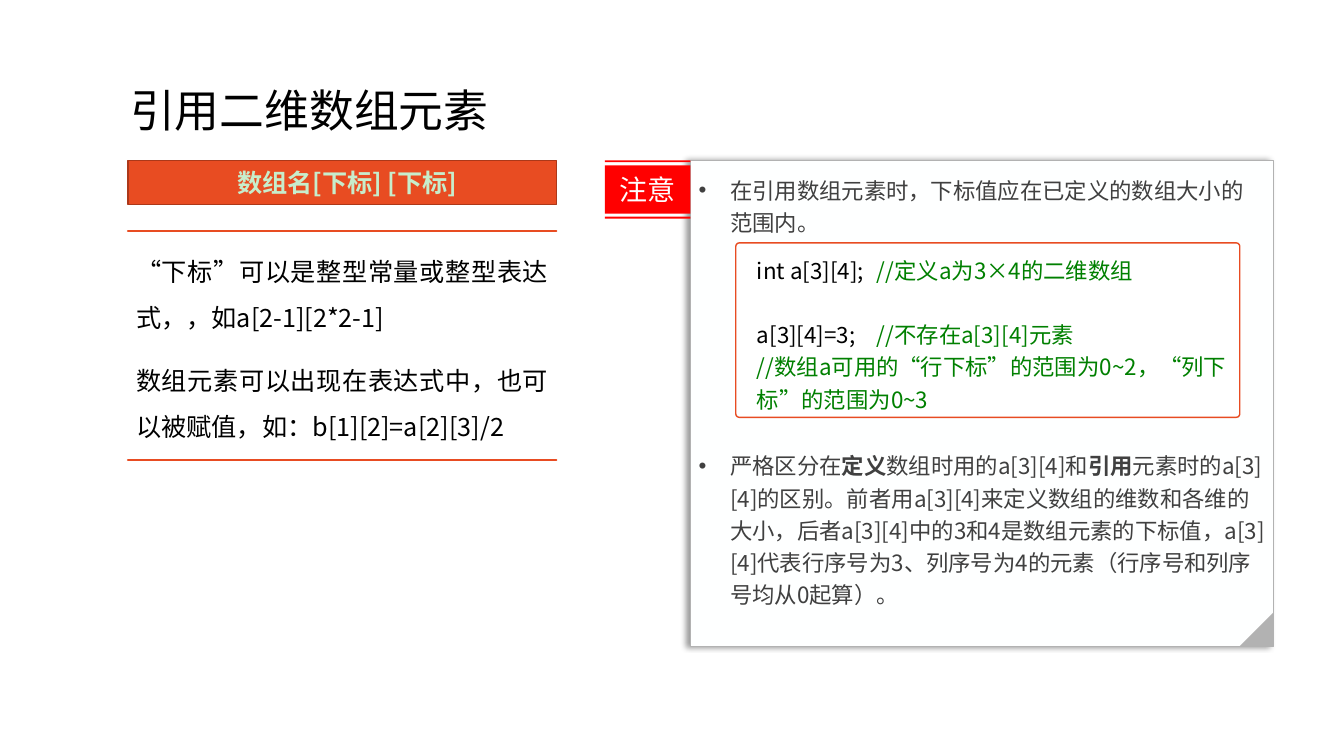
"""Build the slide on referencing elements of a two-dimensional array."""
from dataclasses import dataclass

from lxml import etree
from pptx import Presentation
from pptx.dml.color import RGBColor
from pptx.enum.lang import MSO_LANGUAGE_ID
from pptx.enum.shapes import MSO_SHAPE
from pptx.enum.text import MSO_ANCHOR, MSO_AUTO_SIZE, PP_ALIGN
from pptx.oxml.ns import qn
from pptx.util import Pt

RECT, ROUND, CORNER = MSO_SHAPE.RECTANGLE, MSO_SHAPE.ROUNDED_RECTANGLE, MSO_SHAPE.RIGHT_TRIANGLE
TOP, MIDDLE = MSO_ANCHOR.TOP, MSO_ANCHOR.MIDDLE
LEFT, CENTER, JUSTIFY = PP_ALIGN.LEFT, PP_ALIGN.CENTER, PP_ALIGN.JUSTIFY
NO_FIT = MSO_AUTO_SIZE.NONE
CHINESE = MSO_LANGUAGE_ID.SIMPLIFIED_CHINESE

FONT = "Noto Sans CJK SC"
BLACK = RGBColor(0x00, 0x00, 0x00)
WHITE = RGBColor(0xFF, 0xFF, 0xFF)
PAPER = RGBColor(0xFE, 0xFF, 0xFF)
MINT = RGBColor(0xC7, 0xED, 0xCC)
ORANGE = RGBColor(0xE8, 0x4C, 0x22)
RUST = RGBColor(0xAC, 0x38, 0x19)
RED = RGBColor(0xFF, 0x00, 0x00)
GREEN = RGBColor(0x00, 0x80, 0x00)
GRAY = RGBColor(0xB2, 0xB2, 0xB2)
DARK = RGBColor(0x40, 0x40, 0x40)


@dataclass
class Run:
    text: str
    color: RGBColor = BLACK
    bold: bool = False


@dataclass
class Para:
    runs: list[Run]
    before: float = 0
    after: float = 0


def add_text(p, text: str, *, size: float, color: RGBColor, bold: bool = False) -> None:
    """Add one formatted run."""
    r = p.add_run()
    r.text = text
    f = r.font
    f.size, f.bold, f.name, f.color.rgb = Pt(size), bold, FONT, color
    f.language_id = CHINESE
    etree.SubElement(f._element, qn("a:ea")).set("typeface", FONT)


def fill_frame(sp, paras: list[Para], *, size: float, spacing=1.0, align=LEFT, anchor=TOP,
               insets=(7.2, 3.6, 7.2, 3.6), hang: float = 0, tab: float = 0) -> None:
    """Write paragraphs into a shape."""
    tf = sp.text_frame
    tf.word_wrap, tf.auto_size, tf.vertical_anchor = True, NO_FIT, anchor
    tf.margin_left, tf.margin_top, tf.margin_right, tf.margin_bottom = map(Pt, insets)
    for i, para in enumerate(paras):
        p = tf.add_paragraph() if i else tf.paragraphs[0]
        p.alignment, p.line_spacing = align, spacing
        p.space_before, p.space_after = Pt(para.before), Pt(para.after)
        pPr = p._p.get_or_add_pPr()
        if hang:
            pPr.set("marL", str(Pt(hang)))
            pPr.set("indent", str(-Pt(hang)))
        if tab:
            tabs = etree.SubElement(pPr, qn("a:tabLst"))
            etree.SubElement(tabs, qn("a:tab"), pos=str(Pt(tab)), algn="l")
        for run in para.runs:
            add_text(p, run.text, size=size, color=run.color, bold=run.bold)


def place(sp, left: float, top: float, width: float, height: float) -> None:
    """Set position and size in points."""
    sp.left, sp.top, sp.width, sp.height = map(Pt, (left, top, width, height))


def paint(sp, fill=None, line=None, weight: float = 1) -> None:
    """Set fill and line and drop the theme shadow."""
    if fill is None:
        sp.fill.background()
    else:
        sp.fill.solid()
        sp.fill.fore_color.rgb = fill
    if line is None:
        sp.line.fill.background()
    else:
        sp.line.color.rgb, sp.line.width = line, Pt(weight)
    etree.SubElement(sp._element.spPr, qn("a:effectLst"))


def add_box(s, kind, box: tuple[float, float, float, float], **colors):
    """Add a painted preset shape."""
    sp = s.shapes.add_shape(kind, *map(Pt, box))
    paint(sp, **colors)
    return sp


def add_bands(s, left: float, width: float, bands: list[tuple[float, float]], **colors):
    """Add one outline made of stacked horizontal bands, each a top and a height."""
    right = left + width
    fb = s.shapes.build_freeform(Pt(left), Pt(bands[0][0]))
    for i, (top, height) in enumerate(bands):
        if i:
            fb.move_to(Pt(left), Pt(top))
        corners = [(right, top)]
        if height:
            corners += [(right, top + height), (left, top + height)]
        fb.add_line_segments([(Pt(x), Pt(y)) for x, y in corners], close=True)
    sp = fb.convert_to_shape()
    paint(sp, **colors)
    return sp


def add_shadow(sp) -> None:
    """Cast a soft shadow to the left."""
    effects = sp._element.spPr.find(qn("a:effectLst"))
    shadow = etree.SubElement(effects, qn("a:outerShdw"), blurRad=str(Pt(4)), dist=str(Pt(3)),
                              dir="10800000", algn="r", rotWithShape="0")
    color = etree.SubElement(shadow, qn("a:srgbClr"), val=str(BLACK))
    etree.SubElement(color, qn("a:alpha"), val="40000")


def main() -> None:
    """Build and save the slide."""
    prs = Presentation()
    prs.slide_width, prs.slide_height = Pt(960), Pt(540)
    s = prs.slides.add_slide(prs.slide_layouts[1])
    s.background.fill.solid()
    s.background.fill.fore_color.rgb = WHITE

    title, card = s.placeholders
    place(title, 85.7, 28.8, 466.6, 104.4)
    fill_frame(title, [Para([Run("引用二维数组元素")])], size=32, spacing=0.9, anchor=MIDDLE)

    place(card, 493.2, 114.5, 416.2, 347)
    paint(card, fill=PAPER, line=GRAY, weight=0.75)
    add_shadow(card)
    fill_frame(card, [
        Para([Run("在引用数组元素时，下标值应在已定义的数组大小的范围内。", DARK)], after=6),
        Para([
            Run("严格区分在", DARK),
            Run("定义", DARK, True),
            Run("数组时用的a[3][4]和", DARK),
            Run("引用", DARK, True),
            Run("元素时的a[3][4]的区别。前者用a[3][4]来定义数组的维数和各维的大小，"
                "后者a[3][4]中的3和4是数组元素的下标值，a[3][4]代表行序号为3、"
                "列序号为4的元素（行序号和列序号均从0起算）。", DARK),
        ], before=145, after=6),
    ], size=16, spacing=Pt(23), insets=(5.8, 8, 5.8, 5.8), hang=22.5)

    header = add_box(s, RECT, (91.4, 114.5, 306, 31.7), fill=ORANGE, line=RUST)
    fill_frame(header, [Para([Run("数组名[下标] [下标]", MINT, True)])], size=18,
               align=CENTER, anchor=MIDDLE, insets=(14.4, 3.6, 7.2, 3.6))

    rules = add_bands(s, 91.4, 306, [(164.9, 0), (328.3, 0)], line=ORANGE, weight=1.5)
    fill_frame(rules, [
        Para([Run("“下标”可以是整型常量或整型表达式，，如a[2-1][2*2-1]")], after=6),
        Para([Run("数组元素可以出现在表达式中，也可以被赋值，如：b[1][2]=a[2][3]/2")],
             before=6, after=6),
    ], size=18, spacing=Pt(32.8), align=JUSTIFY, insets=(5.8, 7, 5.8, 5.8))

    ribbon = add_bands(s, 432, 61.2, [(114.5, 1.4), (118.1, 34.5), (154.8, 1.4)], fill=RED)
    fill_frame(ribbon, [Para([Run("注意", PAPER)])], size=20, align=CENTER, anchor=MIDDLE)

    fold = add_box(s, CORNER, (885.6, 437.7, 23.8, 23.8), fill=GRAY)
    fold.rotation = 270

    code = add_box(s, ROUND, (525.6, 173.5, 360, 124.6), fill=WHITE, line=ORANGE)
    code.adjustments[0] = 0.02
    fill_frame(code, [
        Para([Run("int a[3][4];\t"), Run("//定义a为3×4的二维数组", GREEN)]),
        Para([Run("a[3][4]=3;\t"), Run("//不存在a[3][4]元素", GREEN)], before=23),
        Para([Run("//数组a可用的“行下标”的范围为0~2，“列下标”的范围为0~3", GREEN)]),
    ], size=16, spacing=Pt(23), insets=(14.4, 5.5, 7.2, 3.6), tab=85.7)

    prs.save("out.pptx")


if __name__ == "__main__":
    main()
